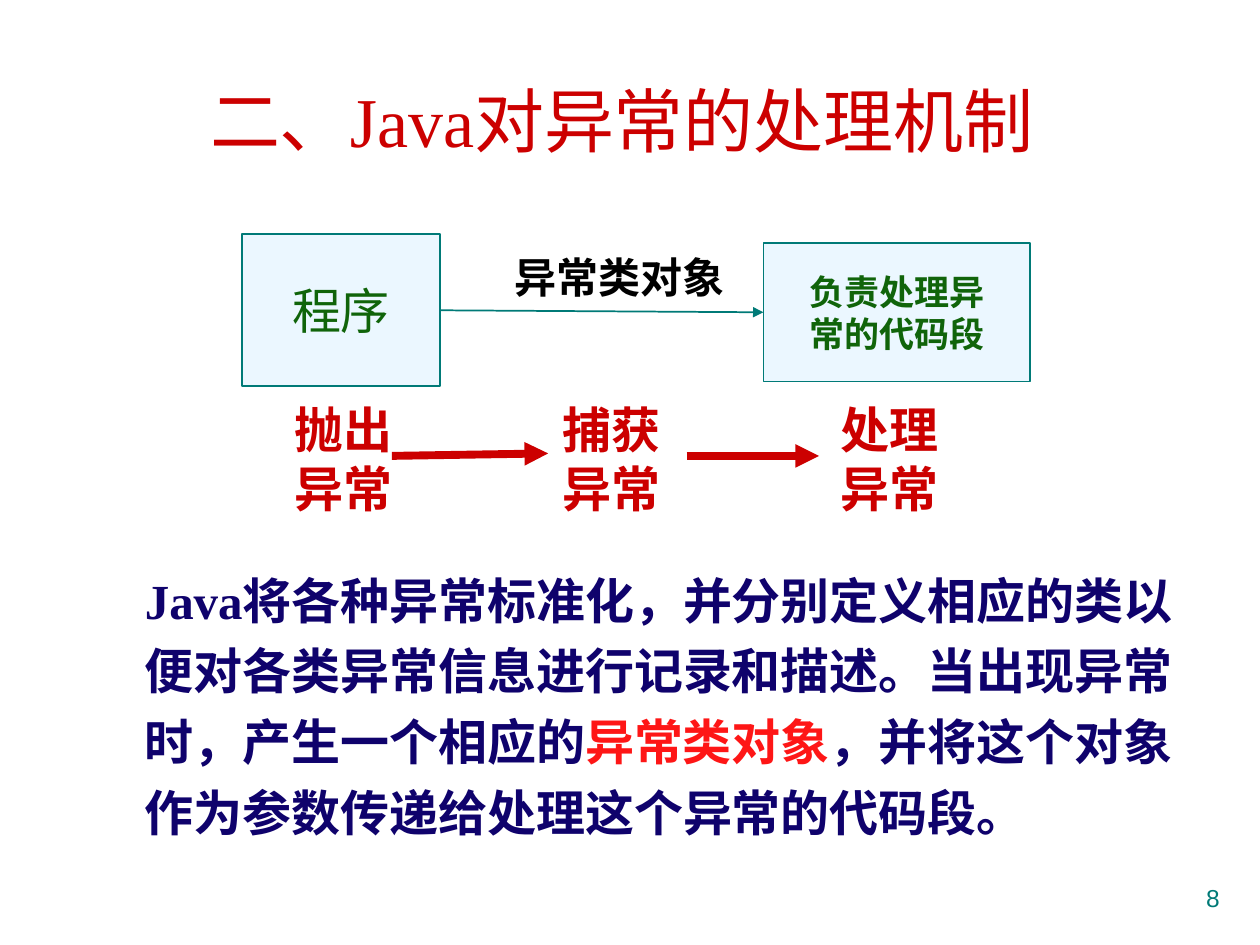
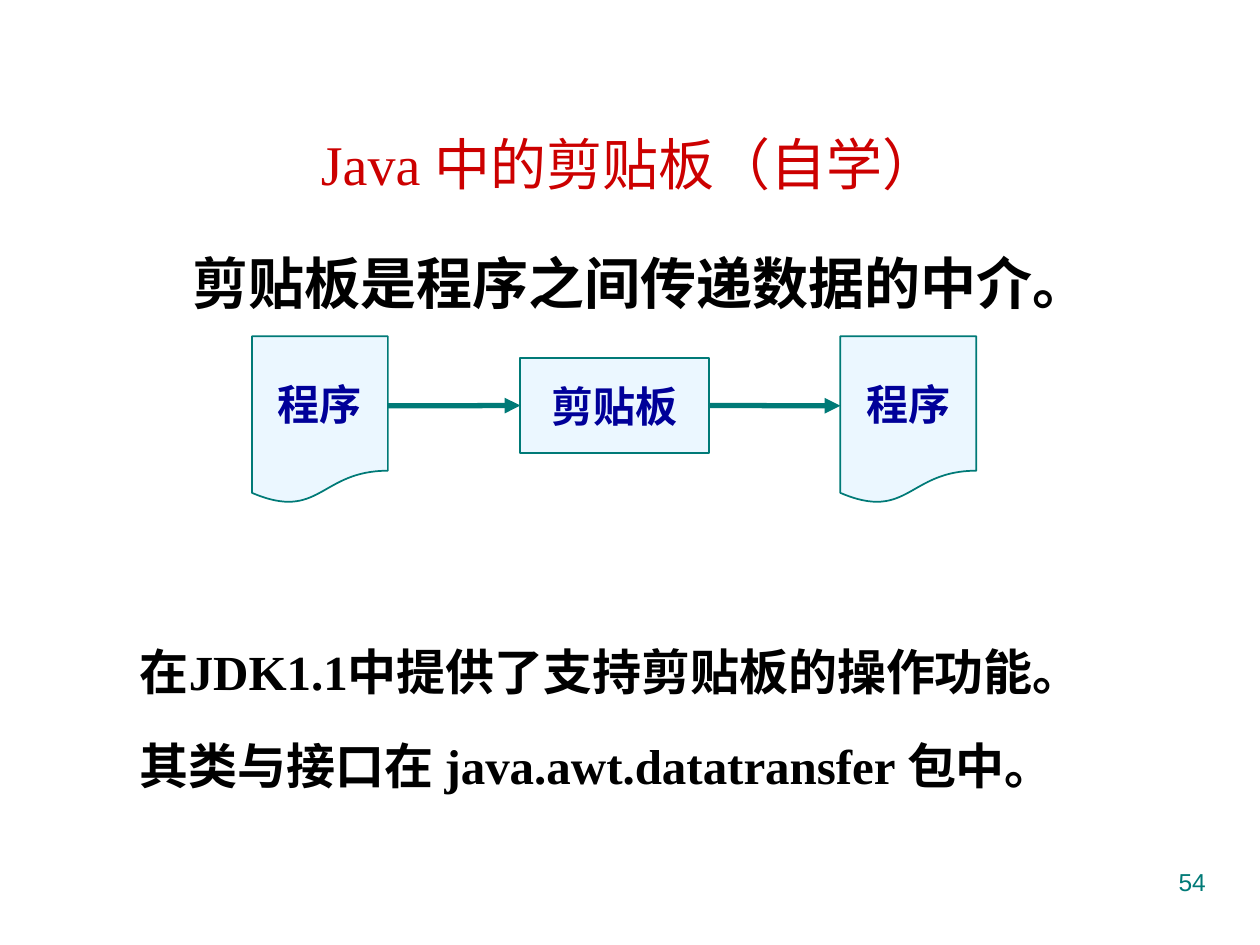
import pptx
import pptx.util
import pptx.dml.color
import pptx.enum.dml
import pptx.enum.shapes
import pptx.enum.text
import pptx.oxml.ns
from dataclasses import dataclass
from lxml import etree

Cm, Pt = pptx.util.Cm, pptx.util.Pt
RGB = pptx.dml.color.RGBColor.from_string
SHAPE = pptx.enum.shapes.MSO_SHAPE
ALIGN = pptx.enum.text.PP_ALIGN
ANCHOR = pptx.enum.text.MSO_ANCHOR
qn = pptx.oxml.ns.qn


@dataclass(frozen=True)
class Theme:
    red: str = "CC0000"
    bright_red: str = "FE1616"
    teal: str = "007A77"
    pale: str = "EBF7FF"
    green: str = "10640A"
    navy: str = "0F026C"
    blue: str = "000099"
    black: str = "000000"
    serif: str = "Times New Roman"
    sans: str = "Arial"
    display: int = 40
    heading: int = 32
    body: int = 28
    label: int = 24
    small: int = 20
    number: int = 14


T = Theme()


def style(size, color, name=T.serif, bold=True):
    return {"size": Pt(size), "name": name, "bold": bold, "color": color}


STEP = style(T.body, T.red)
NODE = style(T.label, T.blue)
NUMBER = style(T.number, T.teal, T.sans, False)
CENTER = {"alignment": ALIGN.CENTER}

EXCEPTIONS = {
    "title": ("二、Java对异常的处理机制", T.display, (2.16, 1.09, 20.75, 2.64)),
    "number": ("8", (22.91, 17.68, 1.93, 1.32)),
    "texts": [
        ([[("Java将各种异常标准化，并分别定义相应的类以便对各类异常信息进行记录和描述。"
            "当出现异常时，产生一个相应的", T.navy),
           ("异常类对象", T.bright_red),
           ("，并将这个对象作为参数传递给处理这个异常的代码段。", T.navy)]],
         (2.67, 11.13, 21.23, 6.35), style(T.body, T.navy), {"line_spacing": 1.2}, True),
        (["异常类对象"], (10.13, 4.95, 4.72, 1.27),
         style(T.label, T.black, T.sans), {}, False),
    ],
    "nodes": {
        "program": (SHAPE.RECTANGLE, ["程序"], (4.88, 4.72, 3.99, 3.07),
                    style(T.body, T.green, T.sans, False)),
        "handler": (SHAPE.RECTANGLE, ["负责处理异", "常的代码段"], (15.39, 4.9, 5.38, 2.79),
                    style(T.small, T.green, T.sans)),
    },
    "arrows": [
        ("program", "handler", T.teal, 1),
        ((7.9, 9.19), (11.05, 9.14), T.red, 4.5),
        ((13.84, 9.19), (16.51, 9.19), T.red, 4.5),
    ],
}
STEPS = [("抛出", 5.69), ("捕获", 11.1), ("处理", 16.69)]
EXCEPTIONS["texts"] += [([verb, "异常"], (left, 7.92, 2.49, 2.62), STEP, {}, False)
                        for verb, left in STEPS]

CLIPBOARD = {
    "title": ("Java 中的剪贴板（自学）", T.heading, (0.84, 1.7, 23.72, 3.18)),
    "number": ("54", (18.21, 17.35, 6.35, 1.32)),
    "texts": [
        (["剪贴板是程序之间传递数据的中介。"], (1.7, 4.88, 22.45, 2.11),
         style(T.heading, T.black, T.sans), CENTER, True),
        (["在JDK1.1中提供了支持剪贴板的操作功能。",
          "其类与接口在 java.awt.datatransfer 包中。"], (2.57, 12.32, 19.96, 5.49),
         style(T.body, T.black), {"line_spacing": 1.4, "space_before": Pt(7)}, False),
    ],
    "nodes": {
        "source": (SHAPE.FLOWCHART_DOCUMENT, ["程序"], (5.08, 6.78, 2.74, 3.38), NODE),
        "target": (SHAPE.FLOWCHART_DOCUMENT, ["程序"], (16.94, 6.78, 2.74, 3.38), NODE),
        "clipboard": (SHAPE.RECTANGLE, ["剪贴板"], (10.49, 7.22, 3.81, 1.91), NODE),
    },
    "arrows": [
        ((7.82, 8.18), "clipboard", T.teal, 3),
        ("clipboard", (16.94, 8.18), T.teal, 3),
    ],
}


def write(tf, paras, font, para=None, wrap=True, anchor=ANCHOR.TOP):
    frame = {"word_wrap": wrap, "vertical_anchor": anchor,
             "auto_size": pptx.enum.text.MSO_AUTO_SIZE.NONE,
             "margin_left": Cm(0.25), "margin_right": Cm(0.25),
             "margin_top": Cm(0.13), "margin_bottom": Cm(0.13)}
    for key, value in frame.items():
        setattr(tf, key, value)
    for i, runs in enumerate(paras):
        p = tf.add_paragraph() if i else tf.paragraphs[0]
        for key, value in (para or {}).items():
            if i or key != "space_before":
                setattr(p, key, value)
        if isinstance(runs, str):
            runs = [(runs, font["color"])]
        for text, color in runs:
            r = p.add_run()
            r.text = text
            for key in ("size", "name", "bold"):
                setattr(r.font, key, font[key])
            r.font.color.rgb = RGB(color)


def add_text(slide, paras, box, font, para, wrap):
    sp = slide.shapes.add_textbox(*map(Cm, box))
    write(sp.text_frame, paras, font, para, wrap)


def add_node(slide, kind, paras, box, font):
    sp = slide.shapes.add_shape(kind, *map(Cm, box))
    sp.shadow.inherit = False
    sp.fill.solid()
    sp.fill.fore_color.rgb = RGB(T.pale)
    sp.line.color.rgb = RGB(T.teal)
    sp.line.width = Pt(1)
    write(sp.text_frame, paras, font, CENTER, False, ANCHOR.MIDDLE)
    return sp


def add_arrow(slide, nodes, start, end, color, width):
    points = [(0, 0) if isinstance(pt, str) else pt for pt in (start, end)]
    cx = slide.shapes.add_connector(pptx.enum.shapes.MSO_CONNECTOR.STRAIGHT,
                                    *(Cm(v) for pt in points for v in pt))
    if isinstance(start, str):
        cx.begin_connect(nodes[start], 3)
    if isinstance(end, str):
        cx.end_connect(nodes[end], 1)
    cx.line.color.rgb = RGB(color)
    cx.line.width = Pt(width)
    ln = cx.line._get_or_add_ln()
    etree.SubElement(ln, qn("a:tailEnd"), type="triangle")
    etree.SubElement(cx._element.spPr, qn("a:effectLst"))


def add_slide(prs, content):
    slide = prs.slides.add_slide(prs.slide_layouts[5])
    text, size, box = content["title"]
    title = slide.shapes.title
    for key, value in zip(("left", "top", "width", "height"), box):
        setattr(title, key, Cm(value))
    write(title.text_frame, [text], style(size, T.red, bold=False), CENTER,
          anchor=ANCHOR.MIDDLE)
    number, box = content["number"]
    add_text(slide, [number], box, NUMBER, {"alignment": ALIGN.RIGHT}, True)
    nodes = {name: add_node(slide, *node) for name, node in content["nodes"].items()}
    for item in content["texts"]:
        add_text(slide, *item)
    for arrow in content["arrows"]:
        add_arrow(slide, nodes, *arrow)


def main():
    prs = pptx.Presentation()
    prs.slide_width, prs.slide_height = Cm(25.4), Cm(19.05)
    for content in (EXCEPTIONS, CLIPBOARD):
        add_slide(prs, content)
    prs.save("out.pptx")


if __name__ == "__main__":
    main()
